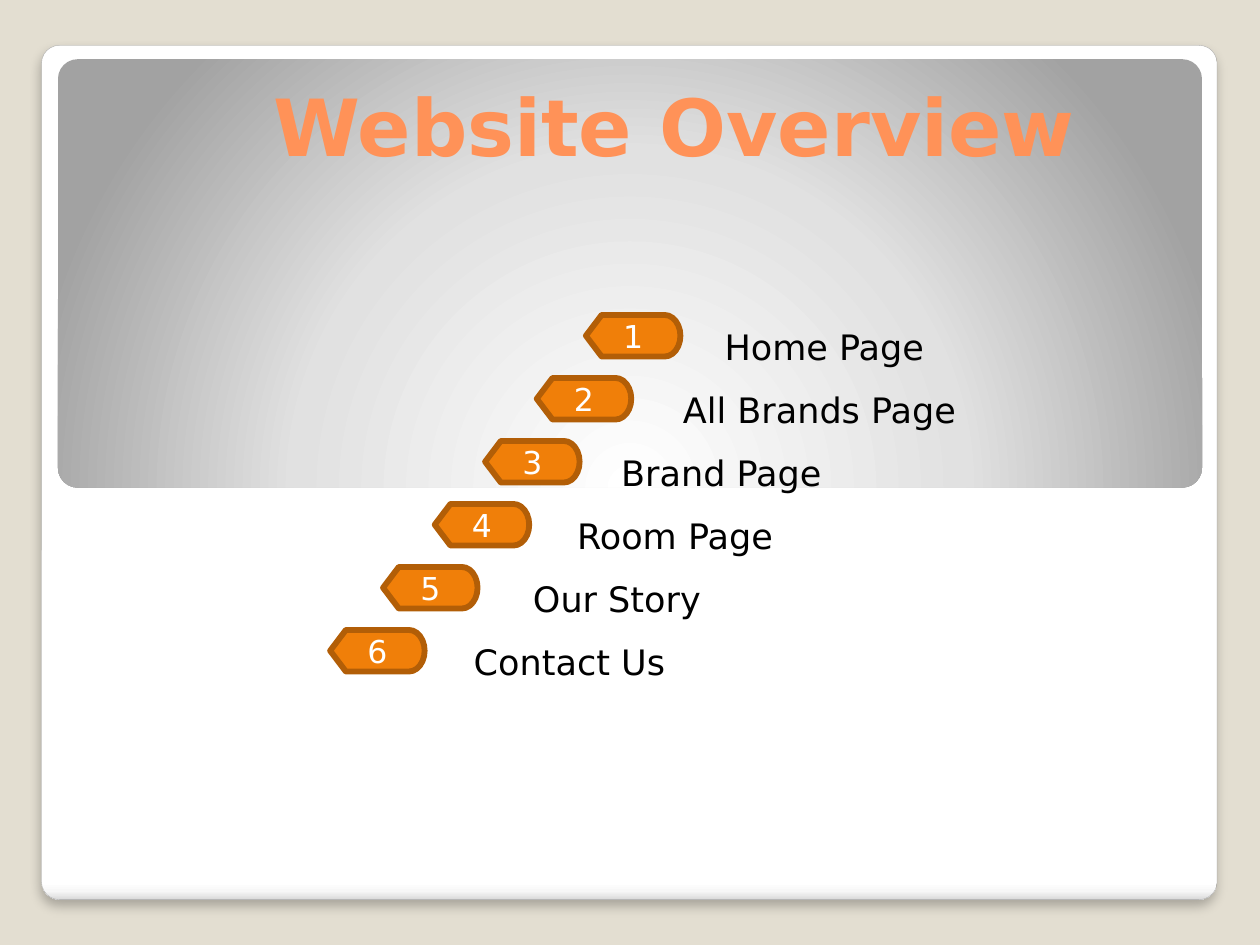
from dataclasses import dataclass

from lxml.etree import SubElement
from pptx import Presentation
from pptx.dml.color import RGBColor as RGB
from pptx.enum.shapes import MSO_SHAPE as Shape
from pptx.enum.text import MSO_ANCHOR as Anchor, PP_ALIGN as Align
from pptx.oxml.ns import qn
from pptx.util import Inches, Pt


@dataclass(frozen=True)
class Theme:
    font: str = "DejaVu Sans"
    back: str = "E3DED1"
    title: str = "FF9258"
    ink: str = "000000"
    white: str = "FFFFFF"
    badge: str = "F07F09"
    rim: str = "B25E07"
    edge: str = "A4A4A4"
    title_pt: int = 45
    item_pt: int = 20
    badge_pt: int = 18


@dataclass(frozen=True)
class Item:
    text: str
    badge_x: float
    text_x: float


@dataclass(frozen=True)
class Panel:
    box: tuple[float, ...]
    round: float
    stops: tuple[tuple[int, str], ...]
    focus: tuple[int, ...] = ()


THEME = Theme()
ITEMS = [
    Item("Home Page", 4.65, 5.75),
    Item("All Brands Page", 4.26, 5.42),
    Item("Brand Page", 3.85, 4.93),
    Item("Room Page", 3.45, 4.58),
    Item("Our Story", 3.04, 4.23),
    Item("Contact Us", 2.62, 3.76),
]
CARD = Panel((0.33, 0.36, 9.33, 6.78), 0.021,
             ((0, "FFFFFF"), (98, "FFFFFF"), (99, "F7F7F7"), (100, "DADADA")))
BANNER = Panel((0.46, 0.47, 9.08, 3.4), 0.046,
               ((0, "FFFFFF"), (55, "E1E1E1"), (100, "A2A2A2")),
               (50, 175, 50, -75))
BADGE_TOP, ROW_STEP = 2.5, 0.5
LIST_X, LIST_INSET = 1.01, 0.2


def color(code: str) -> RGB:
    return RGB.from_string(code)


def inches(box: tuple[float, ...]) -> list[Inches]:
    return [Inches(v) for v in box]


def add_tag(parent, tag: str, **attrs):
    return SubElement(parent, qn(tag), {k: str(v) for k, v in attrs.items()})


def write(para, text: str, *, size: int, ink: str, bold: bool = False,
          align: Align = Align.LEFT) -> None:
    para.alignment = align
    run = para.add_run()
    run.text = text
    font = run.font
    font.name, font.size, font.bold = THEME.font, Pt(size), bold
    font.color.rgb = color(ink)


def add_frame(slide, box: tuple[float, ...], insets: tuple[float, ...],
              anchor: Anchor):
    """Add a wrapping text box; insets run left, top, right, bottom."""
    frame = slide.shapes.add_textbox(*inches(box)).text_frame
    frame.word_wrap = True
    frame.vertical_anchor = anchor
    (frame.margin_left, frame.margin_top,
     frame.margin_right, frame.margin_bottom) = inches(insets)
    return frame


def add_panel(slide, panel: Panel):
    """Add a rounded panel, shaded downward or around its focus."""
    shape = slide.shapes.add_shape(Shape.ROUNDED_RECTANGLE, *inches(panel.box))
    shape.adjustments[0] = panel.round
    shape.shadow.inherit = False
    shape.line.fill.background()
    shape.fill.gradient()
    grad = shape.element.spPr.find(qn("a:gradFill"))
    for child in list(grad):
        grad.remove(child)
    stops = add_tag(grad, "a:gsLst")
    for pos, code in panel.stops:
        stop = add_tag(stops, "a:gs", pos=pos * 1000)
        add_tag(stop, "a:srgbClr", val=code)
    if panel.focus:
        way = add_tag(grad, "a:path", path="circle")
        sides = {k: v * 1000 for k, v in zip("ltrb", panel.focus)}
        add_tag(way, "a:fillToRect", **sides)
    else:
        add_tag(grad, "a:lin", ang=90 * 60000, scaled=0)
    return shape


def add_card(slide) -> None:
    card = add_panel(slide, CARD)
    card.line.color.rgb = color(THEME.edge)
    card.line.width = Pt(0.16)
    effects = card.element.spPr.find(qn("a:effectLst"))
    shade = add_tag(effects, "a:outerShdw", blurRad=Pt(6), dist=Pt(4),
                    dir=90 * 60000, algn="tl", rotWithShape=0)
    tint = add_tag(shade, "a:srgbClr", val="000000")
    add_tag(tint, "a:alpha", val=25000)


def add_title(slide) -> None:
    frame = add_frame(slide, (0.66, 0.5, 7.92, 0.92), (0.05,) * 4, Anchor.BOTTOM)
    write(frame.paragraphs[0], "Website Overview", size=THEME.title_pt,
          ink=THEME.title, bold=True, align=Align.RIGHT)


def add_list(slide) -> None:
    frame = add_frame(slide, (LIST_X, 2.42, 7.99, 5.0),
                      (LIST_INSET, 0, 0.1, 0.05), Anchor.TOP)
    for row, item in enumerate(ITEMS):
        para = frame.add_paragraph() if row else frame.paragraphs[0]
        indent = Inches(item.text_x - LIST_X - LIST_INSET)
        para._p.get_or_add_pPr().set("marL", str(indent))
        para.line_spacing = 1.5
        write(para, item.text, size=THEME.item_pt, ink=THEME.ink)


def add_badge(slide, row: int, item: Item) -> None:
    box = (item.badge_x, BADGE_TOP + row * ROW_STEP, 0.75, 0.33)
    badge = slide.shapes.add_shape(Shape.FLOWCHART_DISPLAY, *inches(box))
    badge.shadow.inherit = False
    badge.fill.solid()
    badge.fill.fore_color.rgb = color(THEME.badge)
    badge.line.color.rgb = color(THEME.rim)
    badge.line.width = Pt(3.35)
    frame = badge.text_frame
    frame.vertical_anchor = Anchor.MIDDLE
    write(frame.paragraphs[0], str(row + 1), size=THEME.badge_pt,
          ink=THEME.white, align=Align.CENTER)


def main() -> None:
    deck = Presentation()
    deck.slide_width, deck.slide_height = Inches(10), Inches(7.5)
    slide = deck.slides.add_slide(deck.slide_layouts[6])
    slide.background.fill.solid()
    slide.background.fill.fore_color.rgb = color(THEME.back)
    add_card(slide)
    add_panel(slide, BANNER)
    add_title(slide)
    add_list(slide)
    for row, item in enumerate(ITEMS):
        add_badge(slide, row, item)
    deck.save("out.pptx")


if __name__ == "__main__":
    main()
